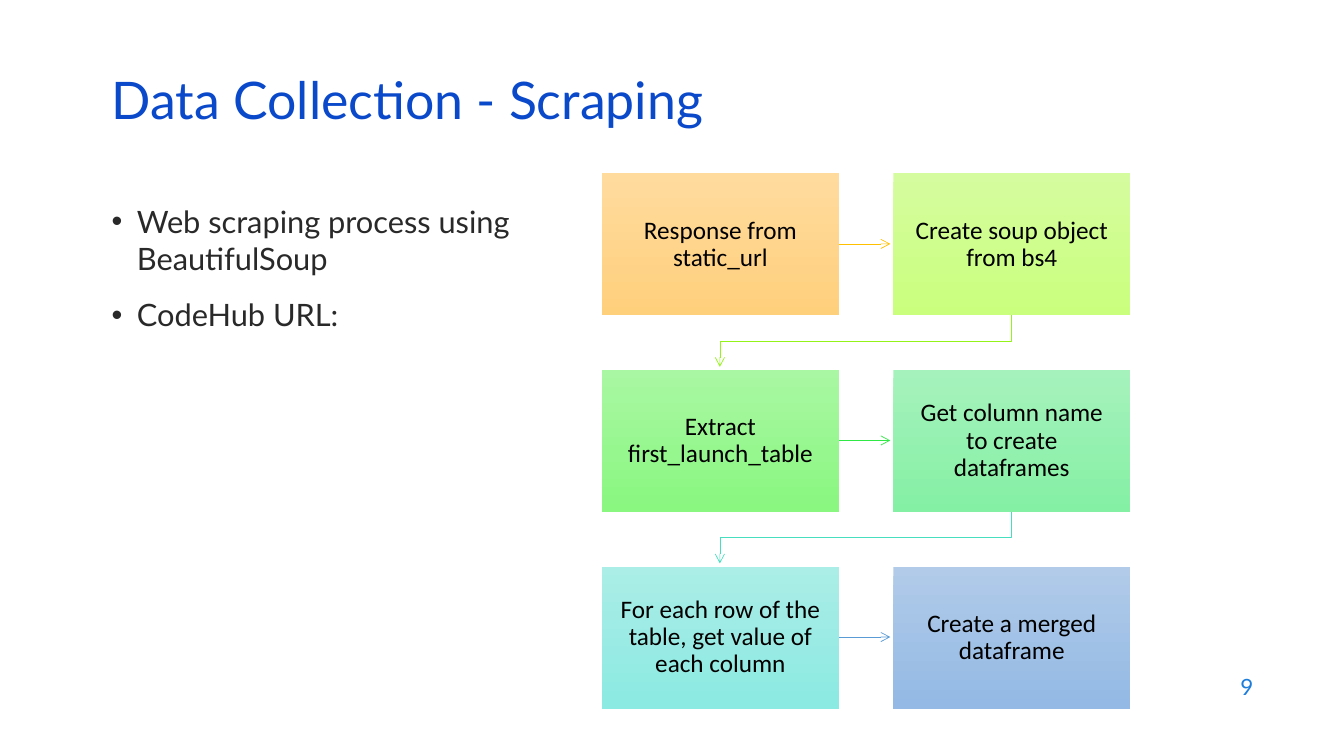
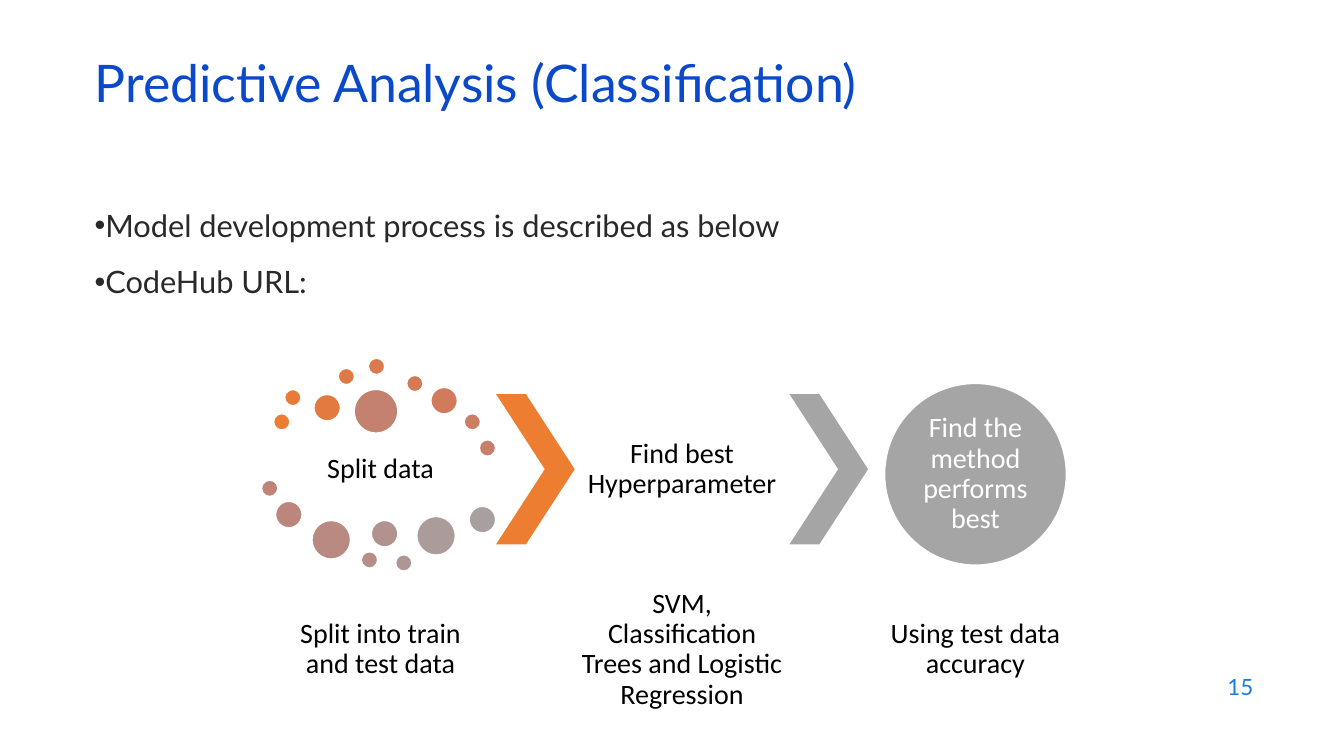
from dataclasses import dataclass

from lxml.etree import SubElement
from pptx import Presentation
from pptx.dml.color import RGBColor
from pptx.enum.shapes import MSO_CONNECTOR as CONN, MSO_SHAPE as SHAPE
from pptx.enum.text import MSO_ANCHOR as ANCHOR, MSO_AUTO_SIZE as AUTO, PP_ALIGN as ALIGN
from pptx.oxml.ns import qn
from pptx.util import Emu, Pt

# Shared look
PX = 9144  # EMU per px, 100 px to the inch
BLUE, PAGE_BLUE, INK = "0B49CB", "1C7DDB", "292929"
BLACK, WHITE, ORANGE, GREY = "000000", "FFFFFF", "ED7D31", "A5A5A5"
TITLE = {"size": Pt(37), "name": "Lato"}
BODY = {"size": Pt(22), "name": "Lato"}
PAGE = {"size": Pt(16), "name": "Lato"}
TILE = {"size": Pt(18), "name": "Calibri"}
LABEL = {"size": Pt(20), "name": "Calibri"}
LEFT = {"alignment": ALIGN.LEFT, "line_spacing": 0.7}
RIGHT = {"alignment": ALIGN.RIGHT}
CENTER = {"alignment": ALIGN.CENTER, "line_spacing": 0.9}


@dataclass(frozen=True)
class Step:
    text: str
    top_color: str
    bottom_color: str
    arrow_color: str = ""  # arrow to the next step


@dataclass(frozen=True)
class Dot:
    x: int
    y: int
    d: int
    color: str


@dataclass(frozen=True)
class Caption:
    text: str
    x: int
    y: int
    h: int


def px(*lengths: int) -> list[Emu]:
    return [Emu(n * PX) for n in lengths]


def rgb(color: str) -> RGBColor:
    return RGBColor.from_string(color)


def apply(target, formats: dict) -> None:
    for name, value in formats.items():
        setattr(target, name, value)


# Text
def set_frame(tf, inset: int | None = None, anchor=ANCHOR.MIDDLE) -> None:
    apply(tf, {"word_wrap": True, "auto_size": AUTO.NONE, "vertical_anchor": anchor})
    if inset is not None:
        sides = ("left", "top", "right", "bottom")
        apply(tf, {f"margin_{side}": Emu(inset * PX) for side in sides})


def write(p, text: str, font: dict, color: str, para: dict) -> None:
    apply(p, para)
    r = p.add_run()
    r.text = text
    apply(r.font, font)
    r.font.color.rgb = rgb(color)


def add_text(s, box: tuple, text: str, font: dict, color: str, para: dict,
             inset: int | None = None) -> None:
    tf = s.shapes.add_textbox(*px(*box)).text_frame
    set_frame(tf, inset)
    write(tf.paragraphs[0], text, font, color, para)


def add_bullets(s, box: tuple, items: list[str], hang: int) -> None:
    tf = s.shapes.add_textbox(*px(*box)).text_frame
    set_frame(tf, anchor=ANCHOR.TOP)
    for i, item in enumerate(items):
        p = tf.add_paragraph() if i else tf.paragraphs[0]
        pPr = p._p.get_or_add_pPr()
        pPr.set("marL", str(hang * PX))
        pPr.set("indent", str(-hang * PX))
        SubElement(pPr, qn("a:buFont"), typeface="Arial")
        SubElement(pPr, qn("a:buChar"), char="•")
        write(p, item, BODY, INK, {"space_before": Pt(14)} if i else {})


# Shapes
def add_shape(s, kind, box: tuple, color: str = "", outline: str = ""):
    sp = s.shapes.add_shape(kind, *px(*box))
    sp.shadow.inherit = False
    if color:
        sp.fill.solid()
        sp.fill.fore_color.rgb = rgb(color)
    if outline:
        sp.line.color.rgb = rgb(outline)
        sp.line.width = Pt(1.5)
    else:
        sp.line.fill.background()
    return sp


def add_tile(s, box: tuple, step: Step) -> None:
    sp = add_shape(s, SHAPE.RECTANGLE, box)
    sp.fill.gradient()
    sp.fill.gradient_angle = 270
    for stop, color in zip(sp.fill.gradient_stops, (step.top_color, step.bottom_color)):
        stop.color.rgb = rgb(color)
    set_frame(sp.text_frame, 14)
    write(sp.text_frame.paragraphs[0], step.text, TILE, BLACK, CENTER)


def add_arrow(s, kind, ends: tuple, color: str):
    c = s.shapes.add_connector(kind, *px(*ends))
    c.line.color.rgb = rgb(color)
    c.line.width = Pt(0.5)
    SubElement(c.line._get_or_add_ln(), qn("a:tailEnd"), type="arrow")
    SubElement(c._element.spPr, qn("a:effectLst"))
    return c


def add_return_arrow(s, x1: int, y1: int, x2: int, y2: int, color: str) -> None:
    """Elbow that goes down, left and down: a quarter turn of the plain elbow."""
    mid_x, mid_y, drop, run = (x1 + x2) // 2, (y1 + y2) // 2, y2 - y1, x1 - x2
    left, top = mid_x - drop // 2, mid_y - run // 2
    c = add_arrow(s, CONN.ELBOW, (left, top, left + drop, top + run), color)
    c._element.spPr.find(qn("a:xfrm")).set("rot", "5400000")


def new_slide(prs, title: str, x: int, y: int, number: int):
    s = prs.slides.add_slide(prs.slide_layouts[5])
    sp = s.shapes.title
    apply(sp, dict(zip(("left", "top", "width", "height"), px(x, y, 1150, 60))))
    set_frame(sp.text_frame)
    write(sp.text_frame.paragraphs[0], title, TITLE, BLUE, LEFT)
    add_text(s, (953, 659, 300, 44), str(number), PAGE, PAGE_BLUE, RIGHT)
    return s


# Scraping: steps in two columns
STEPS = [
    Step("Response from static_url", "FFDB9E", "FFD07C", "FFC000"),
    Step("Create soup object from bs4", "D5FC9F", "CAFF7D", "94F319"),
    Step("Extract first_launch_table", "A9F7A2", "89F780", "30E845"),
    Step("Get column name to create dataframes", "A6F2BC", "84F0A4", "46DEBF"),
    Step("For each row of the table, get value of each column",
         "ABEDE7", "8BEAE2", "5B9BD5"),
    Step("Create a merged dataframe", "B1CBE9", "93B9E4"),
]


def scraping_slide(prs) -> None:
    s = new_slide(prs, "Data Collection - Scraping", 101, 76, 9)
    add_bullets(s, (101, 196, 430, 417),
                ["Web scraping process using BeautifulSoup", "CodeHub URL:"], 25)
    x0, y0, dx, dy, w, h, gap = 597, 172, 289, 195, 235, 141, 51
    for i, step in enumerate(STEPS):
        row, col = divmod(i, 2)
        x, y = x0 + col * dx, y0 + row * dy
        add_tile(s, (x, y, w, h), step)
        if not step.arrow_color:
            continue
        if col == 0:
            mid = y + h // 2
            add_arrow(s, CONN.STRAIGHT, (x + w, mid, x + w + gap, mid), step.arrow_color)
        else:
            mid = x + w // 2
            add_return_arrow(s, mid, y + h, mid - dx, y + h + gap, step.arrow_color)


# Classification: scattered dots, two chevrons and a result circle
DOTS = [
    Dot(271, 410, 17, "ED7D31"), Dot(282, 386, 17, "E87B38"), Dot(311, 391, 27, "E37A40"),
    Dot(335, 365, 17, "DE7A47"), Dot(365, 355, 17, "DA7A4E"), Dot(403, 372, 17, "D57A55"),
    Dot(427, 384, 27, "D17B5C"), Dot(460, 410, 17, "CD7D62"), Dot(475, 436, 17, "C87F69"),
    Dot(351, 386, 44, "C48170"), Dot(259, 476, 17, "C08376"), Dot(273, 497, 27, "BD867C"),
    Dot(309, 516, 39, "B98A82"), Dot(358, 547, 17, "B58E88"), Dot(368, 516, 27, "B2928E"),
    Dot(392, 550, 17, "AE9694"), Dot(413, 512, 39, "AB9B9A"), Dot(465, 502, 27, "A8A0A0"),
]
CAPTIONS = [
    Caption("Split data", 271, 431, 70),
    Caption("Split into train and test data", 271, 579, 131),
    Caption("Find best Hyperparameter", 570, 391, 149),
    Caption("SVM, Classification Trees and Logistic Regression", 570, 579, 131),
    Caption("Using test data accuracy", 861, 579, 131),
]


def classification_slide(prs) -> None:
    s = new_slide(prs, "Predictive Analysis (Classification)", 84, 59, 15)
    add_bullets(s, (84, 200, 1150, 476),
                ["Model development process is described as below", "CodeHub URL:"], 0)
    for dot in DOTS:
        add_shape(s, SHAPE.OVAL, (dot.x, dot.y, dot.d, dot.d), dot.color, WHITE)
    for x, color in ((492, ORANGE), (783, GREY)):
        sp = add_shape(s, SHAPE.CHEVRON, (x, 391, 78, 149), color)
        sp.adjustments[0] = 0.62
    for cap in CAPTIONS:
        add_text(s, (cap.x, cap.y, 213, cap.h), cap.text, LABEL, BLACK, CENTER, 3)
    sp = add_shape(s, SHAPE.OVAL, (877, 380, 181, 181), GREY, WHITE)
    set_frame(sp.text_frame, 0)
    write(sp.text_frame.paragraphs[0], "Find the method performs best", LABEL, WHITE, CENTER)


def main() -> None:
    prs = Presentation()
    prs.slide_width, prs.slide_height = px(1333, 750)
    scraping_slide(prs)
    classification_slide(prs)
    prs.save("out.pptx")


if __name__ == "__main__":
    main()
